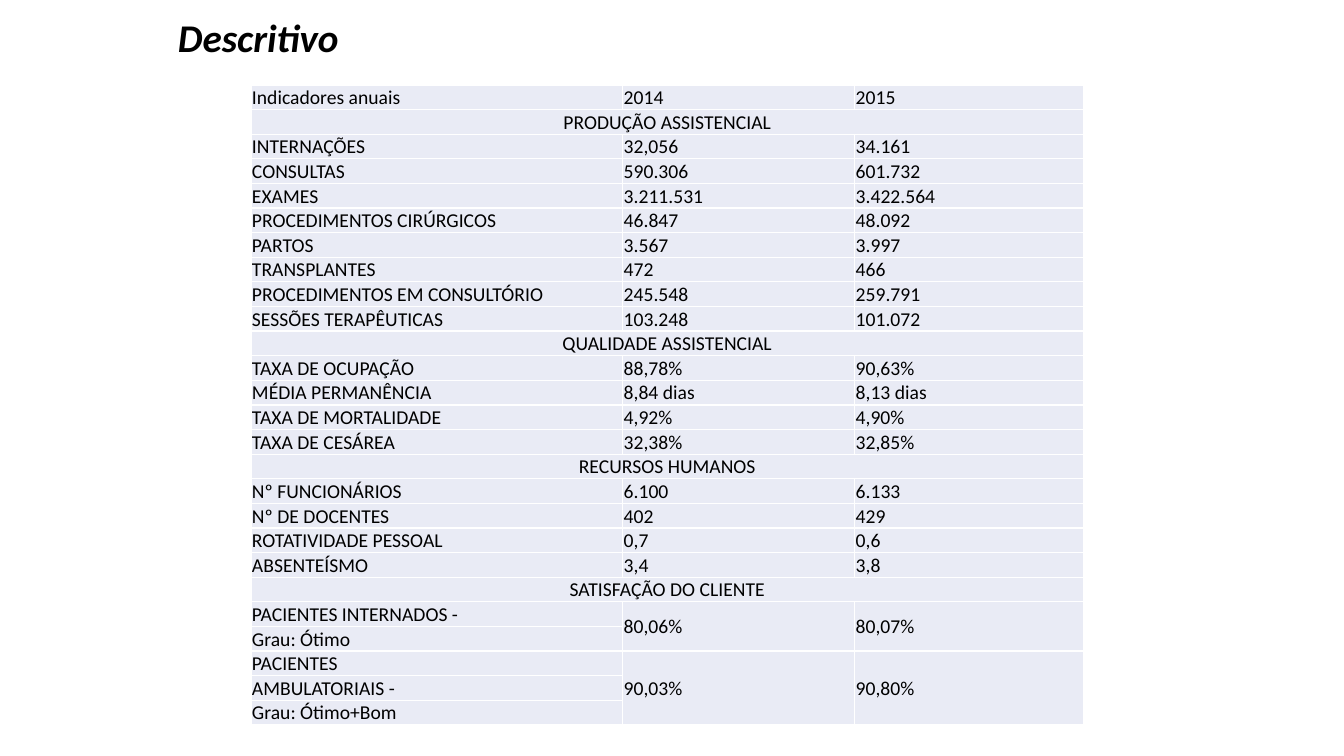
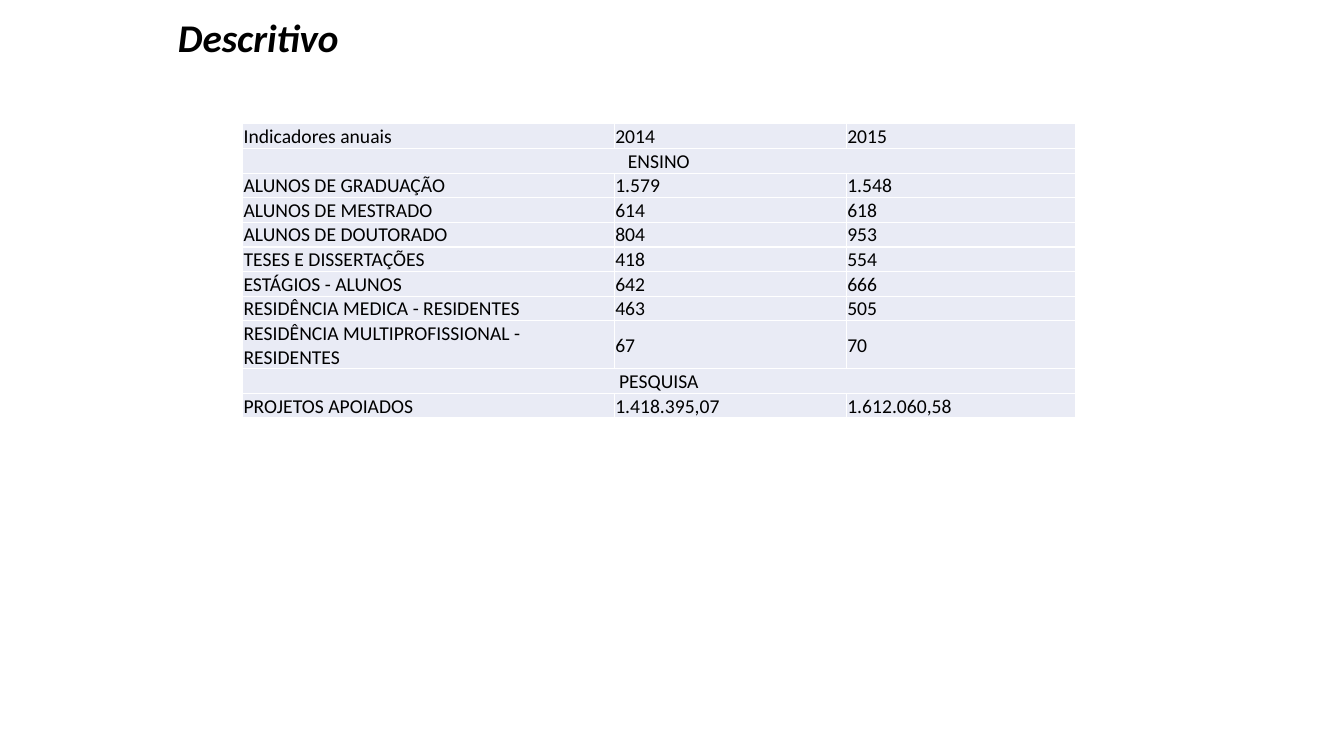
from dataclasses import dataclass

import lxml.etree
import pptx
import pptx.dml.color
import pptx.enum.text
import pptx.oxml.ns
import pptx.slide
import pptx.table
import pptx.text.text
import pptx.util

EMU_PER_PX = 9525


@dataclass(frozen=True)
class Theme:
    font: str = "Calibri"
    text: str = "000000"
    cell: str = "E9EBF5"
    border: str = "FFFFFF"
    border_pt: int = 1
    title_pt: int = 28
    body_pt: int = 14


@dataclass(frozen=True)
class Section:
    name: str


@dataclass(frozen=True)
class Indicator:
    labels: tuple[str, ...]
    values: tuple[str, str]


@dataclass(frozen=True)
class Sheet:
    left: int
    top: int
    entries: tuple[Section | Indicator, ...]


def row(label: str, before: str, after: str) -> Indicator:
    return Indicator(tuple(label.split("\n")), (before, after))


THEME = Theme()
SLIDE_SIZE = (1280, 720)
TITLE = "Descritivo"
TITLE_BOX = (160, 8, 740, 55)
COLUMNS = (354, 221, 218)
ROW_HEIGHT = 22
HEADER = row("Indicadores anuais", "2014", "2015")

SHEETS = (
    Sheet(239, 81, (
        HEADER,
        Section("PRODUÇÃO ASSISTENCIAL"),
        row("INTERNAÇÕES", "32,056", "34.161"),
        row("CONSULTAS", "590.306", "601.732"),
        row("EXAMES", "3.211.531", "3.422.564"),
        row("PROCEDIMENTOS CIRÚRGICOS", "46.847", "48.092"),
        row("PARTOS", "3.567", "3.997"),
        row("TRANSPLANTES", "472", "466"),
        row("PROCEDIMENTOS EM CONSULTÓRIO", "245.548", "259.791"),
        row("SESSÕES TERAPÊUTICAS", "103.248", "101.072"),
        Section("QUALIDADE ASSISTENCIAL"),
        row("TAXA DE OCUPAÇÃO", "88,78%", "90,63%"),
        row("MÉDIA PERMANÊNCIA", "8,84 dias", "8,13 dias"),
        row("TAXA DE MORTALIDADE", "4,92%", "4,90%"),
        row("TAXA DE CESÁREA", "32,38%", "32,85%"),
        Section("RECURSOS HUMANOS"),
        row("Nº FUNCIONÁRIOS", "6.100", "6.133"),
        row("Nº DE DOCENTES", "402", "429"),
        row("ROTATIVIDADE PESSOAL", "0,7", "0,6"),
        row("ABSENTEÍSMO", "3,4", "3,8"),
        Section("SATISFAÇÃO DO CLIENTE"),
        row("PACIENTES INTERNADOS -\nGrau: Ótimo", "80,06%", "80,07%"),
        row("PACIENTES\nAMBULATORIAIS -\nGrau: Ótimo+Bom", "90,03%", "90,80%"),
    )),
    Sheet(231, 118, (
        HEADER,
        Section("ENSINO"),
        row("ALUNOS DE GRADUAÇÃO", "1.579", "1.548"),
        row("ALUNOS DE MESTRADO", "614", "618"),
        row("ALUNOS DE DOUTORADO", "804", "953"),
        row("TESES E DISSERTAÇÕES", "418", "554"),
        row("ESTÁGIOS - ALUNOS", "642", "666"),
        row("RESIDÊNCIA MEDICA - RESIDENTES", "463", "505"),
        row("RESIDÊNCIA MULTIPROFISSIONAL - RESIDENTES", "67", "70"),
        Section("PESQUISA"),
        row("PROJETOS APOIADOS", "1.418.395,07", "1.612.060,58"),
    )),
)


def px(n: int) -> pptx.util.Emu:
    return pptx.util.Emu(n * EMU_PER_PX)


def write_text(tf: pptx.text.text.TextFrame, text: str, *, size: int = THEME.body_pt,
               bold: bool = False, italic: bool = False, centered: bool = False) -> None:
    p = tf.paragraphs[0]
    align = pptx.enum.text.PP_ALIGN
    p.alignment = align.CENTER if centered else align.LEFT
    r = p.add_run()
    r.text = text
    r.font.name = THEME.font
    r.font.size = pptx.util.Pt(size)
    r.font.bold = bold
    r.font.italic = italic
    r.font.color.rgb = pptx.dml.color.RGBColor.from_string(THEME.text)


def add_title(s: pptx.slide.Slide) -> None:
    tf = s.shapes.add_textbox(*map(px, TITLE_BOX)).text_frame
    tf.word_wrap = True
    tf.auto_size = pptx.enum.text.MSO_AUTO_SIZE.SHAPE_TO_FIT_TEXT
    write_text(tf, TITLE, size=THEME.title_pt, bold=True, italic=True)


def style_cell(cell: pptx.table._Cell) -> None:
    qn = pptx.oxml.ns.qn
    tc_pr = cell._tc.get_or_add_tcPr()
    for side in ("a:lnL", "a:lnR", "a:lnT", "a:lnB"):
        ln = lxml.etree.SubElement(tc_pr, qn(side), w=str(pptx.util.Pt(THEME.border_pt)))
        fill = lxml.etree.SubElement(ln, qn("a:solidFill"))
        lxml.etree.SubElement(fill, qn("a:srgbClr"), val=THEME.border)
    cell.fill.solid()
    cell.fill.fore_color.rgb = pptx.dml.color.RGBColor.from_string(THEME.cell)
    cell.margin_left = cell.margin_right = cell.margin_top = px(1)
    cell.margin_bottom = px(0)
    cell.vertical_anchor = pptx.enum.text.MSO_ANCHOR.MIDDLE


def fill_section(table: pptx.table.Table, top: int, section: Section) -> int:
    cell = table.cell(top, 0)
    cell.merge(table.cell(top, len(COLUMNS) - 1))
    write_text(cell.text_frame, section.name, centered=True)
    return top + 1


def fill_indicator(table: pptx.table.Table, top: int, indicator: Indicator) -> int:
    end = top + len(indicator.labels)
    for i, label in enumerate(indicator.labels, top):
        write_text(table.cell(i, 0).text_frame, label)
    for j, value in enumerate(indicator.values, 1):
        cell = table.cell(top, j)
        if end - top > 1:
            cell.merge(table.cell(end - 1, j))
        write_text(cell.text_frame, value)
    return end


def add_indicators(s: pptx.slide.Slide, sheet: Sheet) -> None:
    count = sum(len(e.labels) if isinstance(e, Indicator) else 1 for e in sheet.entries)
    table = s.shapes.add_table(count, len(COLUMNS), px(sheet.left), px(sheet.top),
                               px(sum(COLUMNS)), px(count * ROW_HEIGHT)).table
    table.first_row = table.horz_banding = False
    for column, width in zip(table.columns, COLUMNS):
        column.width = px(width)
    for cell in table.iter_cells():
        style_cell(cell)
        cell.text_frame.paragraphs[0].font.size = pptx.util.Pt(THEME.body_pt)
    top = 0
    for entry in sheet.entries:
        fill = fill_section if isinstance(entry, Section) else fill_indicator
        top = fill(table, top, entry)


def main() -> None:
    prs = pptx.Presentation()
    prs.slide_width, prs.slide_height = map(px, SLIDE_SIZE)
    for sheet in SHEETS:
        s = prs.slides.add_slide(prs.slide_layouts[6])
        add_title(s)
        add_indicators(s, sheet)
    prs.save("out.pptx")


if __name__ == "__main__":
    main()
